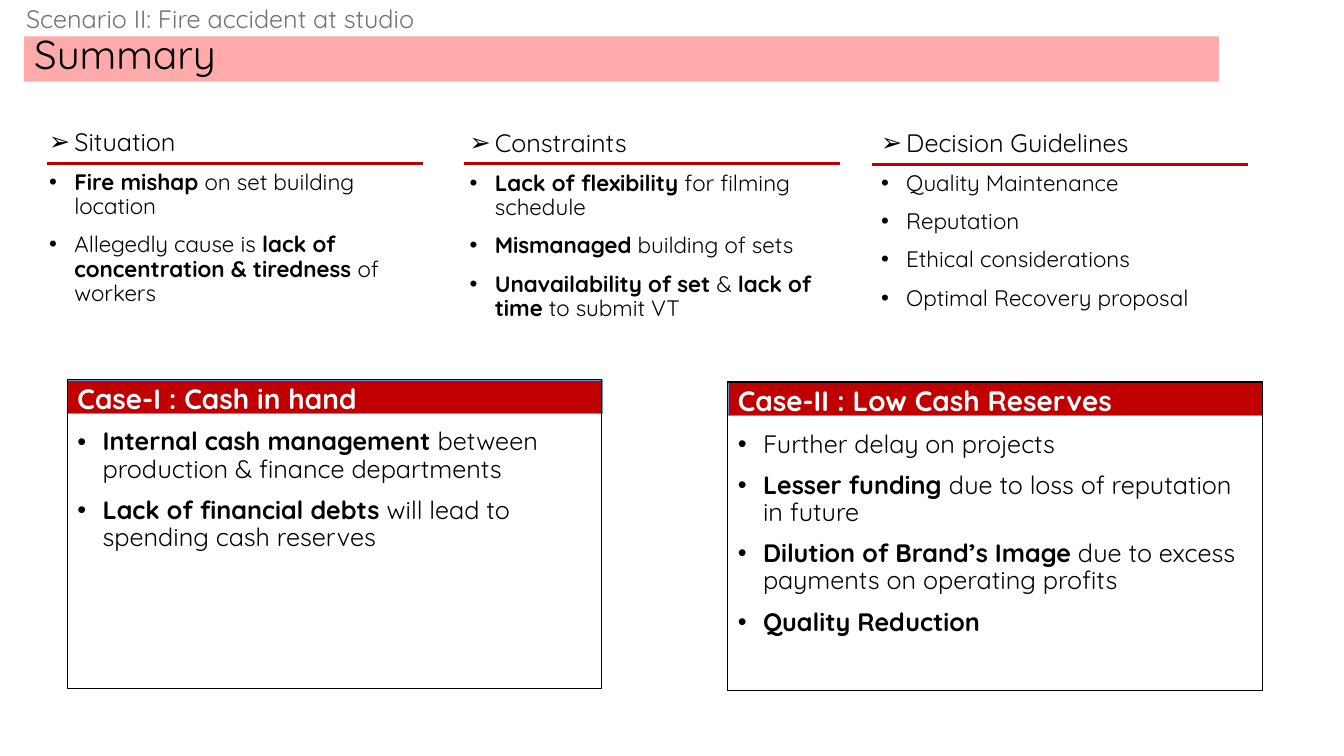
from lxml import etree
from pptx import Presentation
from pptx.dml.color import RGBColor
from pptx.enum.shapes import MSO_CONNECTOR as CONN, MSO_SHAPE as SHAPE
from pptx.enum.text import MSO_ANCHOR as ANCHOR, MSO_AUTO_SIZE as FIT, PP_ALIGN as ALIGN
from pptx.oxml.ns import qn
from pptx.util import Emu, Pt

PX = 9144  # 100 px to the inch
FONT = "Quicksand"
COLORS = {
    "black": "000000",
    "white": "FFFFFF",
    "grey": "767171",
    "red": "C00000",
    "pink": "FFABAB",
    "blue": "5B9BD5",
}
INDENT = 25
CASE_W, CASE_H, CASE_HEAD_H = 530, 306, 33

# left, top, width, height, rule left, rule y, heading, points
COLUMNS = [
    (39, 124, 407, 270, 47, 162, "Situation", [
        "**Fire mishap **on set building location",
        "Allegedly cause is** lack of concentration & tiredness **of workers",
    ]),
    (456, 125, 373, 269, 460, 162, "Constraints", [
        "**Lack of flexibility** for filming schedule",
        "**Mismanaged** building of sets",
        "**Unavailability of set** & **lack of time** to submit VT",
    ]),
    (864, 125, 373, 231, 865, 163, "Decision Guidelines", [
        "Quality Maintenance",
        "Reputation",
        "Ethical considerations",
        "Optimal Recovery proposal",
    ]),
]
RULE_W = 373

# left, top, heading, points
CASES = [
    (67, 377, "Case-I : Cash in hand", [
        "**Internal cash management **between production & finance departments",
        "**Lack of financial debts **will lead to spending cash reserves",
    ]),
    (722, 379, "Case-II : Low Cash Reserves", [
        "Further delay on projects",
        "**Lesser funding **due to loss of reputation in future",
        "**Dilution of Brand’s Image** due to excess payments on operating profits",
        "**Quality Reduction**",
    ]),
]


def px(*lengths):
    return [Emu(n * PX) for n in lengths]


def rgb(name):
    return RGBColor.from_string(COLORS[name])


def add_text(tf, text, size, color="black", bullet=None, spacing=0.9, before=10):
    """Add a paragraph; stretches between ** marks are bold."""
    p = tf.paragraphs[0]
    if p.runs:
        p = tf.add_paragraph()
    p.alignment = ALIGN.LEFT
    p.line_spacing = spacing
    p.space_before = Pt(before)
    if bullet:
        pPr = p._p.get_or_add_pPr()
        pPr.set("marL", str(INDENT * PX))
        pPr.set("indent", str(-INDENT * PX))
        etree.SubElement(pPr, qn("a:buFont")).set("typeface", "Arial")
        etree.SubElement(pPr, qn("a:buChar")).set("char", bullet)
    for i, part in enumerate(text.split("**")):
        if part:
            r = p.add_run()
            r.text = part
            r.font.name = FONT
            r.font.size = Pt(size)
            r.font.bold = i % 2 == 1
            r.font.color.rgb = rgb(color)


def add_textbox(slide, left, top, width, height, wrap=True):
    tf = slide.shapes.add_textbox(*px(left, top, width, height)).text_frame
    tf.word_wrap = wrap
    return tf


def add_rect(slide, left, top, width, height, fill=None, line=None, weight=1,
             anchor=ANCHOR.TOP):
    sp = slide.shapes.add_shape(SHAPE.RECTANGLE, *px(left, top, width, height))
    sp.shadow.inherit = False
    if fill:
        sp.fill.solid()
        sp.fill.fore_color.rgb = rgb(fill)
    else:
        sp.fill.background()
    if line:
        sp.line.color.rgb = rgb(line)
        sp.line.width = Pt(weight)
    else:
        sp.line.fill.background()
    sp.text_frame.word_wrap = True
    sp.text_frame.vertical_anchor = anchor
    return sp.text_frame


def add_rule(slide, left, y):
    line = slide.shapes.add_connector(CONN.STRAIGHT, *px(left, y, left + RULE_W, y))
    line.line.color.rgb = rgb("red")
    line.line.width = Pt(2.25)
    etree.SubElement(line._element.spPr, qn("a:effectLst"))


def add_column(slide, left, top, width, height, rule_left, rule_y, heading, points):
    tf = add_textbox(slide, left, top, width, height)
    add_text(tf, heading, 18, bullet="➢")
    for point in points:
        add_text(tf, point, 16, bullet="•")
    add_rule(slide, rule_left, rule_y)


def add_case(slide, left, top, heading, points):
    add_rect(slide, left, top, CASE_W, CASE_HEAD_H, fill="red", line="blue")
    tf = add_rect(slide, left, top, CASE_W, CASE_H, line="black", weight=0.75)
    add_text(tf, f"**{heading}**", 20, "white")
    for point in points:
        add_text(tf, point, 18, bullet="•")


def main():
    prs = Presentation()
    prs.slide_width, prs.slide_height = px(1333, 750)
    slide = prs.slides.add_slide(prs.slide_layouts[6])

    for column in COLUMNS:
        add_column(slide, *column)

    tf = add_textbox(slide, 16, -2, 434, 40, wrap=False)
    tf.auto_size = FIT.SHAPE_TO_FIT_TEXT
    add_text(tf, "Scenario II: Fire accident at studio", 18, "grey", spacing=1.0, before=0)
    tf = add_rect(slide, 24, 36, 1185, 45, fill="pink", anchor=ANCHOR.BOTTOM)
    add_text(tf, "Summary", 28.8, spacing=0.7, before=0)

    for case in CASES:
        add_case(slide, *case)

    prs.save("out.pptx")


if __name__ == "__main__":
    main()
